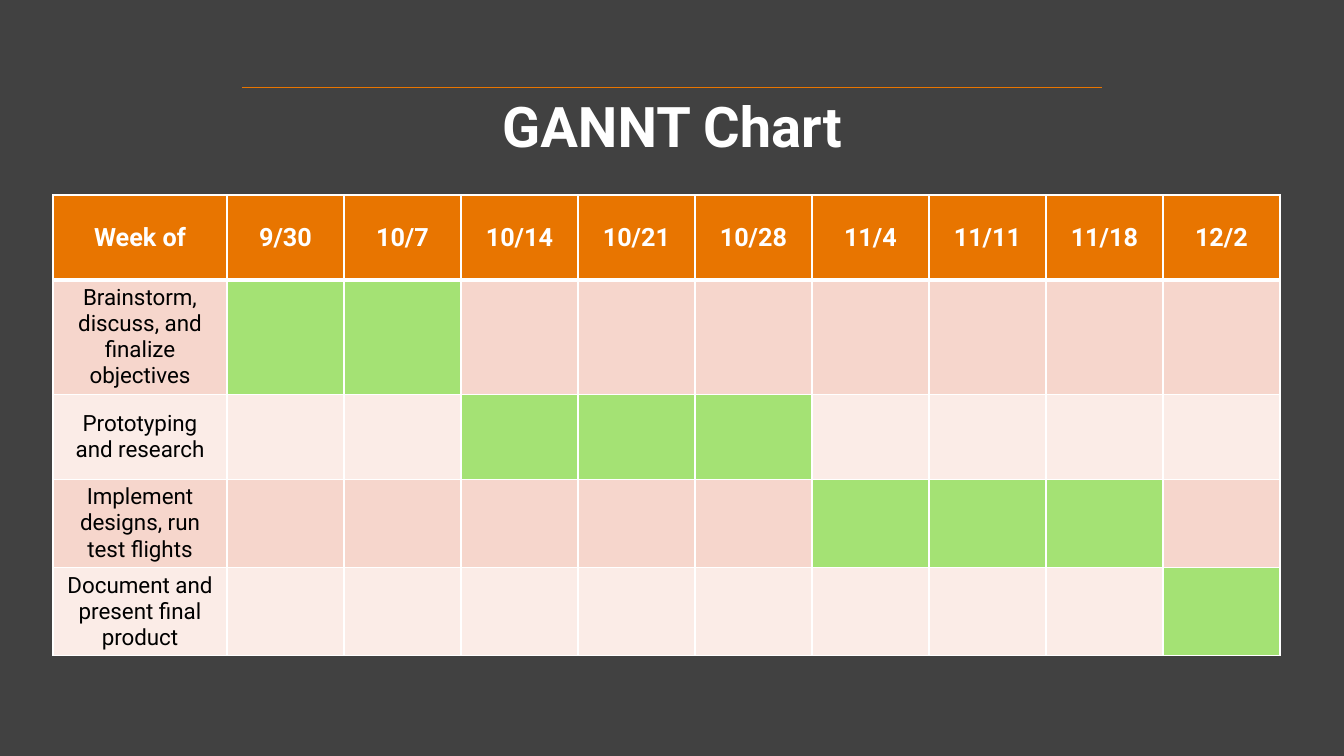
"""Build a one-slide project schedule with tasks shaded by week."""
import dataclasses

import pptx
import pptx.dml.color
import pptx.enum.shapes
import pptx.enum.text
import pptx.oxml
import pptx.oxml.ns
import pptx.util

TITLE = "GANNT Chart"
HEADINGS = ["Week of", "9/30", "10/7", "10/14", "10/21", "10/28",
            "11/4", "11/11", "11/18", "12/2"]
TASKS = [
    ("Brainstorm, discuss, and finalize objectives", 1, 2),
    ("Prototyping and research", 3, 5),
    ("Implement designs, run test flights", 6, 8),
    ("Document and present final product", 9, 9),
]

SLIDE_SIZE = (1344, 756)
TITLE_BOX = (101, 102, 1142, 101)
RULE = (242, 88, 1102, 88)
TABLE_ORIGIN = (53, 195)
TASK_WIDTH, WEEK_WIDTH, ROW_HEIGHT = 174, 117, 85


@dataclasses.dataclass(frozen=True)
class Theme:
    font: str = "Roboto"
    background: str = "414141"
    accent: str = "E87500"
    light: str = "FFFFFF"
    dark: str = "000000"
    active: str = "A4E274"
    bands: tuple = ("F6D6CC", "FBECE7")
    title_size: int = 40
    heading_size: int = 18
    task_size: int = 16
    thin: float = 0.75
    border: int = 1
    heavy_border: int = 3


THEME = Theme()


def px(length):
    return pptx.util.Emu(round(length * 914400 / 100.8))


def rgb(value):
    return pptx.dml.color.RGBColor.from_string(value)


def format_text(text_frame, size, color, bold):
    paragraph = text_frame.paragraphs[0]
    paragraph.alignment = pptx.enum.text.PP_ALIGN.CENTER
    for run in paragraph.runs:
        run.font.name = THEME.font
        run.font.size = pptx.util.Pt(size)
        run.font.color.rgb = rgb(color)
        run.font.bold = bold
    return paragraph


def add_borders(cell, top, bottom):
    properties = cell._tc.get_or_add_tcPr()
    widths = {"lnL": THEME.border, "lnR": THEME.border, "lnT": top, "lnB": bottom}
    for side, width in widths.items():
        properties.append(pptx.oxml.parse_xml(
            f'<a:{side} {pptx.oxml.ns.nsdecls("a")} w="{pptx.util.Pt(width)}">'
            f'<a:solidFill><a:srgbClr val="{THEME.light}"/></a:solidFill></a:{side}>'))


def add_title(slide):
    title = slide.shapes.title
    title.left, title.top, title.width, title.height = map(px, TITLE_BOX)
    text_frame = title.text_frame
    text_frame.text = TITLE
    text_frame.word_wrap = True
    text_frame.auto_size = pptx.enum.text.MSO_AUTO_SIZE.NONE
    text_frame.vertical_anchor = pptx.enum.text.MSO_ANCHOR.TOP
    text_frame.margin_left = text_frame.margin_right = 0
    text_frame.margin_top = text_frame.margin_bottom = 0
    paragraph = format_text(text_frame, THEME.title_size, THEME.light, True)
    paragraph.line_spacing = 0.85


def add_rule(slide):
    rule = slide.shapes.add_connector(
        pptx.enum.shapes.MSO_CONNECTOR.STRAIGHT, *map(px, RULE))
    rule.line.color.rgb = rgb(THEME.accent)
    rule.line.width = pptx.util.Pt(THEME.thin)
    rule._element.spPr.append(pptx.oxml.parse_xml(
        f'<a:effectLst {pptx.oxml.ns.nsdecls("a")}/>'))


def add_schedule(slide):
    row_count, column_count = len(TASKS) + 1, len(HEADINGS)
    width = TASK_WIDTH + WEEK_WIDTH * (column_count - 1)
    table = slide.shapes.add_table(
        row_count, column_count, *map(px, TABLE_ORIGIN),
        px(width), px(ROW_HEIGHT * row_count)).table
    for index, column in enumerate(table.columns):
        column.width = px(WEEK_WIDTH if index else TASK_WIDTH)
    for row_index, row in enumerate(table.rows):
        row.height = px(ROW_HEIGHT)
        top = THEME.heavy_border if row_index == 1 else THEME.border
        bottom = THEME.heavy_border if row_index == 0 else THEME.border
        for column_index, cell in enumerate(row.cells):
            if row_index == 0:
                text, fill = HEADINGS[column_index], THEME.accent
                style = (THEME.heading_size, THEME.light, True)
            else:
                task, first, last = TASKS[row_index - 1]
                text = "" if column_index else task
                band = THEME.bands[(row_index - 1) % 2]
                fill = THEME.active if first <= column_index <= last else band
                style = (THEME.task_size, THEME.dark, False)
            add_borders(cell, top, bottom)
            cell.fill.solid()
            cell.fill.fore_color.rgb = rgb(fill)
            cell.vertical_anchor = pptx.enum.text.MSO_ANCHOR.MIDDLE
            if text:
                cell.text_frame.text = text
                format_text(cell.text_frame, *style)


def main():
    presentation = pptx.Presentation()
    presentation.slide_width, presentation.slide_height = map(px, SLIDE_SIZE)
    slide = presentation.slides.add_slide(presentation.slide_layouts[5])
    slide.background.fill.solid()
    slide.background.fill.fore_color.rgb = rgb(THEME.background)
    add_rule(slide)
    add_title(slide)
    add_schedule(slide)
    presentation.save("out.pptx")


if __name__ == "__main__":
    main()
